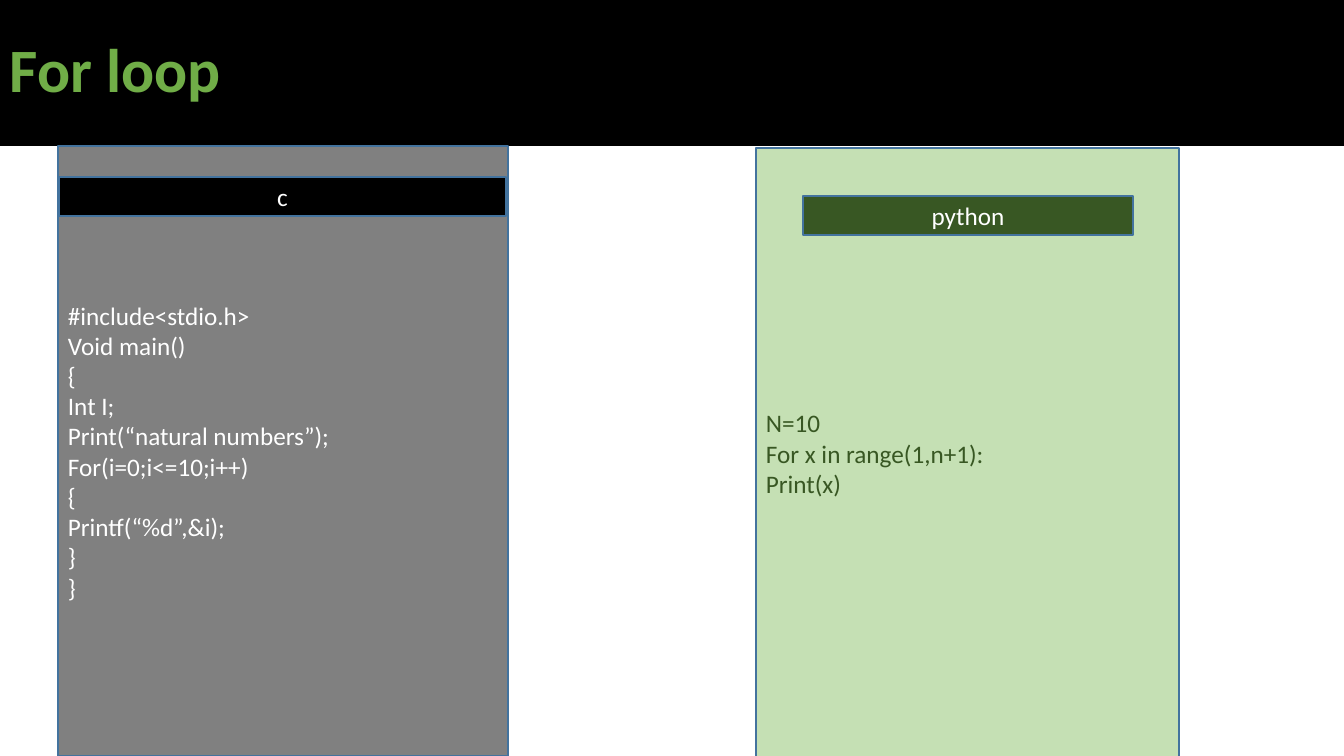
from pptx import Presentation
from pptx.dml.color import RGBColor
from pptx.enum.shapes import MSO_SHAPE
from pptx.enum.text import MSO_ANCHOR, PP_ALIGN
from pptx.util import Emu, Pt

EMU_PER_PX = 914400 / 100.8
COLOURS = {
    "black": "000000",
    "white": "FFFFFF",
    "title_green": "70AD47",
    "grey": "808080",
    "pale_green": "C5E0B4",
    "dark_green": "385723",
    "outline": "43739E",
}
C_CODE = [
    "#include<stdio.h>",
    "Void main()",
    "{",
    "Int I;",
    "Print(“natural numbers”);",
    "For(i=0;i<=10;i++)",
    "{",
    "Printf(“%d”,&i);",
    "}",
    "}",
]
PYTHON_CODE = ["N=10", "For x in range(1,n+1):", "Print(x)"]


def px(length):
    return Emu(round(length * EMU_PER_PX))


def colour(name):
    return RGBColor.from_string(COLOURS[name])


def set_attributes(target, values):
    for attribute, value in values.items():
        setattr(target, attribute, value)


def add_box(slide, box, fill, lines, ink, size=18, bold=False,
            align=PP_ALIGN.LEFT, spacing=1.0, outline="outline"):
    panel = slide.shapes.add_shape(MSO_SHAPE.RECTANGLE, *map(px, box))
    panel.shadow.inherit = False
    panel.fill.solid()
    panel.fill.fore_color.rgb = colour(fill)
    if outline:
        panel.line.color.rgb = colour(outline)
        panel.line.width = Pt(1)
    else:
        panel.line.fill.background()
    frame = panel.text_frame
    set_attributes(frame, {
        "word_wrap": True,
        "vertical_anchor": MSO_ANCHOR.MIDDLE,
        "text": "\n".join(lines),
    })
    for paragraph in frame.paragraphs:
        set_attributes(paragraph, {"alignment": align, "line_spacing": spacing})
        for run in paragraph.runs:
            set_attributes(run.font, {"name": "Calibri", "size": Pt(size), "bold": bold})
            run.font.color.rgb = colour(ink)


def add_title(slide, wording):
    add_box(slide, (0, 0, 1344, 146), "black", [wording], "title_green",
            size=44, bold=True, spacing=0.9, outline=None)


def add_code_panel(slide, box, fill, code, ink):
    add_box(slide, box, fill, code, ink)


def add_language_label(slide, box, fill, language):
    add_box(slide, box, fill, [language], "white", align=PP_ALIGN.CENTER)


def main():
    deck = Presentation()
    set_attributes(deck, {"slide_width": px(1344), "slide_height": px(756)})
    slide = deck.slides.add_slide(deck.slide_layouts[6])
    add_title(slide, "For loop")
    add_code_panel(slide, (58, 146, 450, 610), "grey", C_CODE, "white")
    add_language_label(slide, (59, 177, 447, 39), "black", "c")
    add_code_panel(slide, (756, 148, 423, 610), "pale_green", PYTHON_CODE, "dark_green")
    add_language_label(slide, (803, 196, 330, 39), "dark_green", "python")
    deck.save("out.pptx")


if __name__ == "__main__":
    main()
